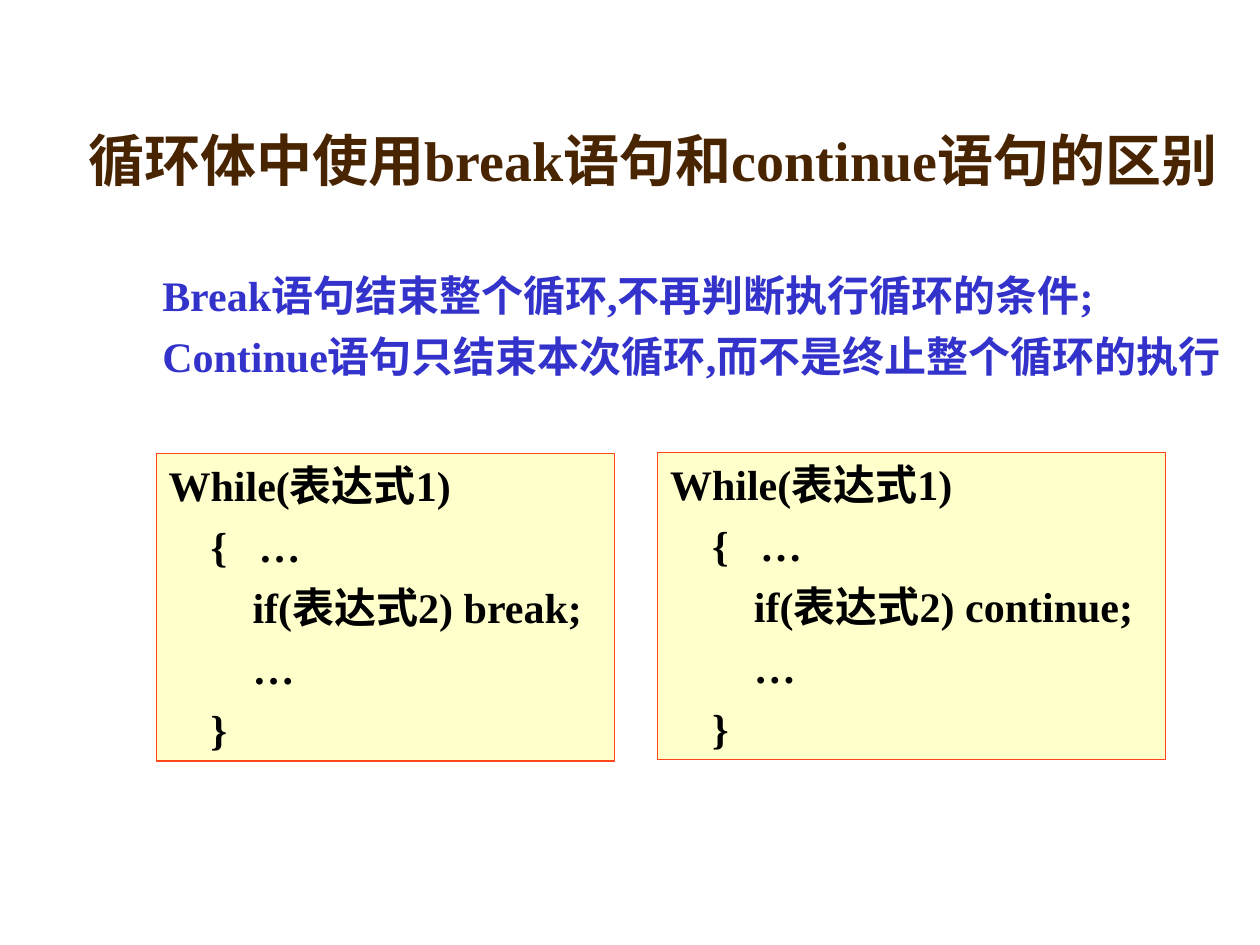
from pptx import Presentation
from pptx.dml.color import RGBColor
from pptx.enum.shapes import MSO_SHAPE
from pptx.enum.text import MSO_ANCHOR, MSO_AUTO_SIZE, PP_ALIGN
from pptx.util import Inches, Pt

FONT = "Times New Roman"
BROWN = RGBColor(0x48, 0x24, 0x00)
BLUE = RGBColor(0x33, 0x33, 0xCC)
BLACK = RGBColor(0x00, 0x00, 0x00)
CREAM = RGBColor(0xFF, 0xFF, 0xCC)
ORANGE = RGBColor(0xFF, 0x46, 0x1B)

TITLE = "循环体中使用break语句和continue语句的区别"
EXPLANATIONS = [
    "Break语句结束整个循环,不再判断执行循环的条件;",
    "Continue语句只结束本次循环,而不是终止整个循环的执行",
]


def format_paragraph(paragraph, size, color):
    paragraph.alignment = PP_ALIGN.LEFT
    paragraph.font.name = FONT
    paragraph.font.size = Pt(size)
    paragraph.font.bold = True
    paragraph.font.color.rgb = color


def write_lines(text_frame, lines, color):
    text_frame.text = "\n".join(lines)
    for index, paragraph in enumerate(text_frame.paragraphs):
        format_paragraph(paragraph, 24, color)
        if index:
            paragraph.space_before = Pt(6)


def set_title(slide, text):
    title = slide.shapes.title
    title.left, title.top = Inches(0.6), Inches(0.82)
    title.width, title.height = Inches(9.4), Inches(0.76)
    text_frame = title.text_frame
    text_frame.text = text
    text_frame.vertical_anchor = MSO_ANCHOR.BOTTOM
    text_frame.auto_size = MSO_AUTO_SIZE.NONE
    format_paragraph(text_frame.paragraphs[0], 32, BROWN)


def add_explanations(slide, lines):
    box = slide.shapes.add_textbox(Inches(0.86), Inches(2.09), Inches(9.14), Inches(3.39))
    text_frame = box.text_frame
    text_frame.word_wrap = True
    write_lines(text_frame, lines, BLUE)
    for paragraph in text_frame.paragraphs:
        properties = paragraph._p.get_or_add_pPr()
        properties.set("marL", str(Inches(0.38)))
        properties.set("indent", str(Inches(-0.05)))


def add_code_box(slide, left, top, width, statement):
    shape = slide.shapes.add_shape(
        MSO_SHAPE.RECTANGLE, Inches(left), Inches(top), Inches(width), Inches(2.44)
    )
    shape.shadow.inherit = False
    shape.fill.solid()
    shape.fill.fore_color.rgb = CREAM
    shape.line.color.rgb = ORANGE
    shape.line.width = Pt(0.75)
    text_frame = shape.text_frame
    text_frame.word_wrap = True
    text_frame.auto_size = MSO_AUTO_SIZE.NONE
    text_frame.vertical_anchor = MSO_ANCHOR.TOP
    text_frame.margin_right = 0
    code = [
        "While(表达式1)",
        "    {   …",
        f"        if(表达式2) {statement};",
        "        …",
        "    }",
    ]
    write_lines(text_frame, code, BLACK)


def main():
    presentation = Presentation()
    presentation.slide_width = Inches(10)
    presentation.slide_height = Inches(7.5)
    slide = presentation.slides.add_slide(presentation.slide_layouts[5])
    set_title(slide, TITLE)
    add_explanations(slide, EXPLANATIONS)
    add_code_box(slide, 1.24, 3.6, 3.64, "break")
    add_code_box(slide, 5.22, 3.59, 4.03, "continue")
    presentation.save("out.pptx")


if __name__ == "__main__":
    main()
